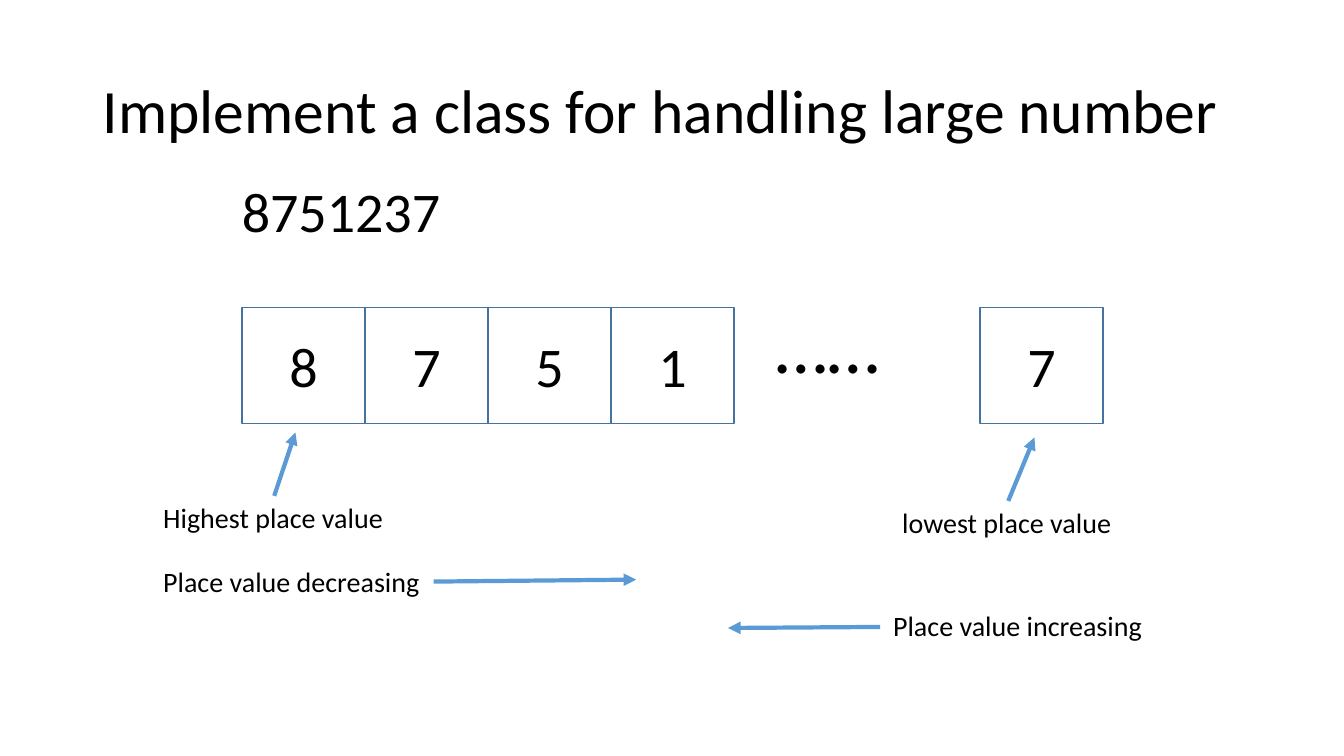
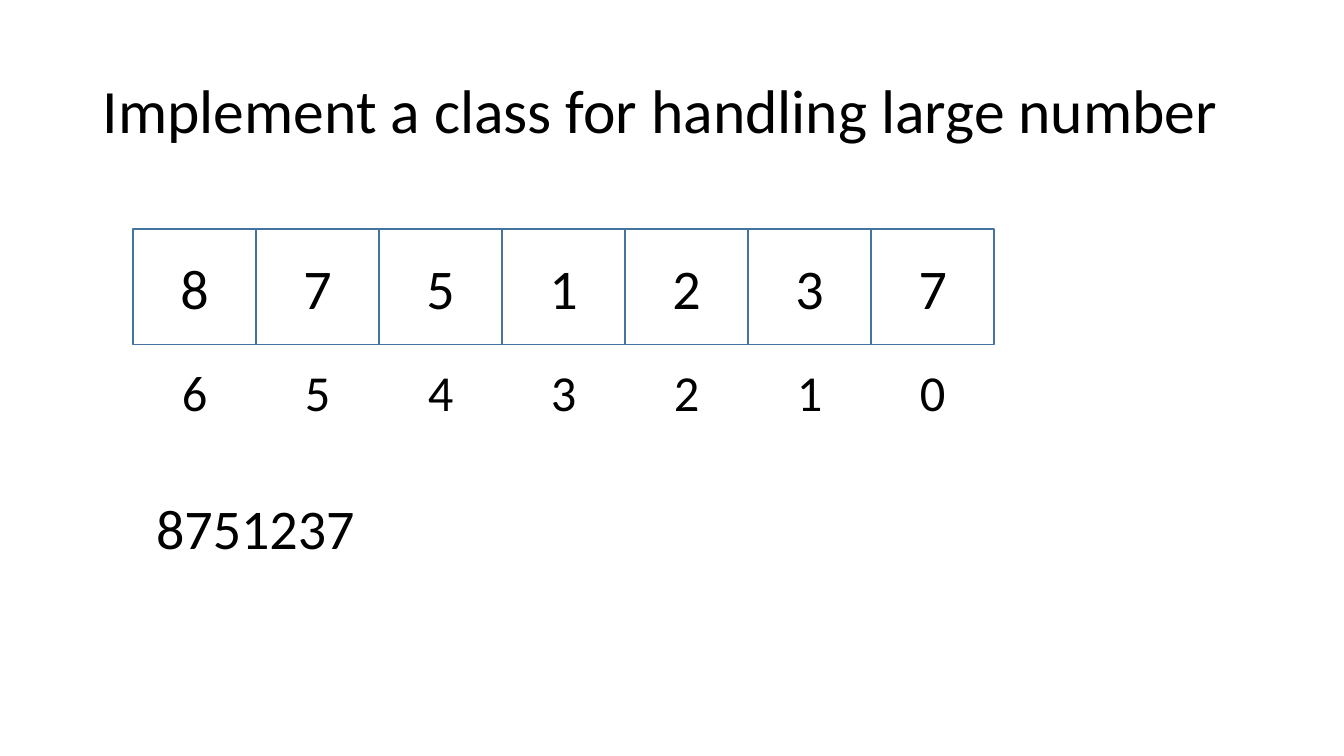
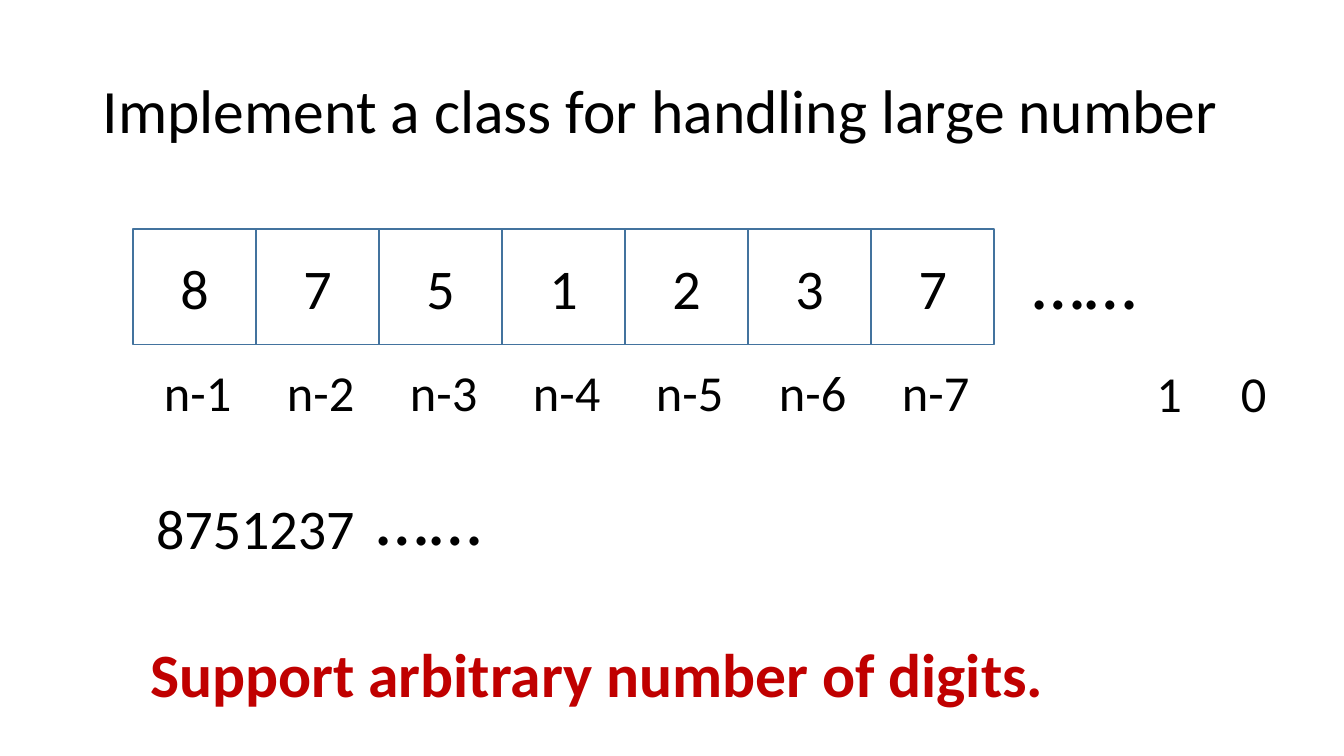
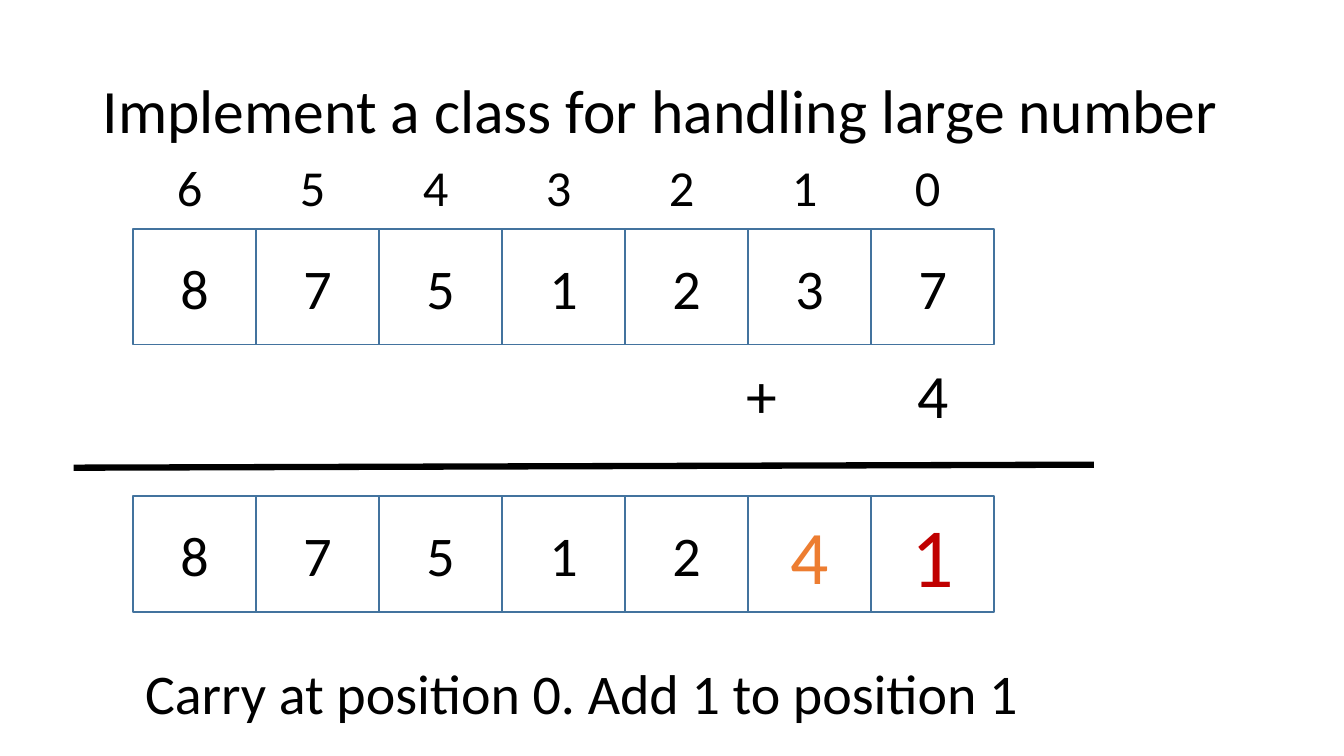
from lxml import etree
from pptx import Presentation
from pptx.dml.color import RGBColor
from pptx.enum.shapes import MSO_CONNECTOR, MSO_SHAPE
from pptx.enum.text import MSO_ANCHOR, PP_ALIGN
from pptx.oxml.ns import qn
from pptx.util import Inches, Pt

LEFT, CENTER = PP_ALIGN.LEFT, PP_ALIGN.CENTER
TOP, MIDDLE = MSO_ANCHOR.TOP, MSO_ANCHOR.MIDDLE
RECTANGLE, STRAIGHT = MSO_SHAPE.RECTANGLE, MSO_CONNECTOR.STRAIGHT

FONT = "Calibri"
BLACK, WHITE, RED, ORANGE = "000000", "FFFFFF", "C00000", "ED7D31"
CELL_EDGE, ARROW_BLUE = "43739E", "5B9BD5"
HEADING = "Implement a class for handling large number"
NUMBER = "8751237"
DOTS = "……"
CELL_W, CELL_H = 1.22, 1.15
ROW_LEFT, ROW_TOP = 1.32, 2.27


def rgb(value):
    """Turn a hex string into a colour."""
    return RGBColor.from_string(value)


def write(frame, text, size=40, color=BLACK, bold=False, align=LEFT,
          anchor=TOP, spacing=None):
    """Put one formatted paragraph into a text frame."""
    frame.word_wrap = True
    frame.vertical_anchor = anchor
    paragraph = frame.paragraphs[0]
    paragraph.alignment = align
    if spacing:
        paragraph.line_spacing = spacing
    run = paragraph.add_run()
    run.text = text
    run.font.name = FONT
    run.font.size = Pt(size)
    run.font.bold = bold
    run.font.color.rgb = rgb(color)


def add_text(slide, text, left, top, width, height, **style):
    """Place a text box at the given box in inches."""
    box = slide.shapes.add_textbox(*map(Inches, (left, top, width, height)))
    write(box.text_frame, text, **style)


def add_line(slide, start, end, color=ARROW_BLUE, weight=3, arrow=True):
    """Draw a straight line, with an arrowhead at its end if wanted."""
    line = slide.shapes.add_connector(STRAIGHT, *map(Inches, start + end))
    line.line.color.rgb = rgb(color)
    line.line.width = Pt(weight)
    if arrow:
        outline = line.line._get_or_add_ln()
        etree.SubElement(outline, qn("a:tailEnd"), type="triangle")
    etree.SubElement(line._element.spPr, qn("a:effectLst"))


def add_titled_slide(deck):
    """Add a slide with the shared heading."""
    slide = deck.slides.add_slide(deck.slide_layouts[5])
    title = slide.shapes.title
    title.left, title.top, title.width, title.height = map(
        Inches, (0.92, 0.4, 11.5, 1.45))
    write(title.text_frame, HEADING, size=44, anchor=MIDDLE, spacing=0.9)
    return slide


def digit_row(slide, digits, left=ROW_LEFT, top=ROW_TOP, accents=None):
    """Draw adjoining digit cells, with special styles by column."""
    for column, digit in enumerate(digits):
        cell = slide.shapes.add_shape(RECTANGLE, *map(
            Inches, (left + column * CELL_W, top, CELL_W, CELL_H)))
        cell.shadow.inherit = False
        cell.fill.solid()
        cell.fill.fore_color.rgb = rgb(WHITE)
        cell.line.color.rgb = rgb(CELL_EDGE)
        cell.line.width = Pt(1)
        style = (accents or {}).get(column, {})
        write(cell.text_frame, digit, align=CENTER, anchor=MIDDLE, **style)


def index_row(slide, labels, left, top):
    """Centre one position label on each digit column."""
    for column, label in enumerate(labels):
        add_text(slide, label, left + column * CELL_W, top, CELL_W, 0.71,
                 size=36, align=CENTER)


def add_dots(slide, left, top):
    """Place an ellipsis for the digits left out."""
    add_text(slide, DOTS, left, top, 1.4, 1.01, size=54)


def place_value_slide(deck):
    """Show the highest and lowest place values."""
    slide = add_titled_slide(deck)
    left, top = 2.4, 3.05
    add_text(slide, NUMBER, 2.3, 1.7, 2.4, 0.77)
    digit_row(slide, NUMBER[:4], left, top)
    add_dots(slide, 7.59, 2.91)
    digit_row(slide, NUMBER[-1], left + 6 * CELL_W, top)
    notes = [
        ("Highest place value", 1.52, 4.92, (2.72, 4.92), (2.93, 4.29)),
        ("lowest place value", 8.85, 4.97, (10, 4.97), (10.26, 4.34)),
        ("Place value decreasing", 1.52, 5.55, (4.3, 5.77), (6.31, 5.75)),
        ("Place value increasing", 8.76, 5.99, (8.73, 6.22), (7.22, 6.23)),
    ]
    for text, text_left, text_top, start, end in notes:
        add_text(slide, text, text_left, text_top, 3, 0.44, size=20)
        add_line(slide, start, end)


def position_slide(deck):
    """Number the digit positions from the right."""
    slide = add_titled_slide(deck)
    digit_row(slide, NUMBER)
    index_row(slide, "6543210", ROW_LEFT, 3.53)
    add_text(slide, NUMBER, 1.45, 4.85, 2.4, 0.77)


def arbitrary_length_slide(deck):
    """Number the positions of a number with n digits."""
    slide = add_titled_slide(deck)
    digit_row(slide, NUMBER)
    add_dots(slide, 10.14, 2.27)
    index_row(slide, [f"n-{place}" for place in range(1, 8)],
              ROW_LEFT + 0.03, 3.53)
    for label, left in (("1", 11.37), ("0", 12.21)):
        add_text(slide, label, left, 3.54, 0.46, 0.73, size=36)
    add_text(slide, NUMBER, 1.45, 4.85, 2.4, 0.77)
    add_dots(slide, 3.64, 4.61)
    add_text(slide, "Support arbitrary number of digits.", 1.39, 6.26, 9.6,
             0.84, size=44, color=RED, bold=True)


def addition_slide(deck):
    """Add one digit and show the carry."""
    slide = add_titled_slide(deck)
    index_row(slide, "6543210", ROW_LEFT - 0.05, 1.5)
    digit_row(slide, NUMBER)
    add_text(slide, "+", 7.31, 3.49, 0.6, 0.84, size=44)
    add_text(slide, "4", ROW_LEFT + 6 * CELL_W, 3.49, CELL_W, 0.84,
             size=44, align=CENTER)
    add_line(slide, (0.73, 4.64), (10.85, 4.61), color=BLACK, weight=4.5,
             arrow=False)
    digit_row(slide, "8751241", top=4.92, accents={
        5: {"size": 54, "color": ORANGE},
        6: {"size": 60, "color": RED},
    })
    add_text(slide, "Carry at position 0. Add 1 to position 1",
             1.34, 6.48, 9.4, 0.77)


def main():
    """Build and save the deck."""
    deck = Presentation()
    deck.slide_width, deck.slide_height = Inches(13.33), Inches(7.5)
    place_value_slide(deck)
    position_slide(deck)
    arbitrary_length_slide(deck)
    addition_slide(deck)
    deck.save("out.pptx")


if __name__ == "__main__":
    main()
